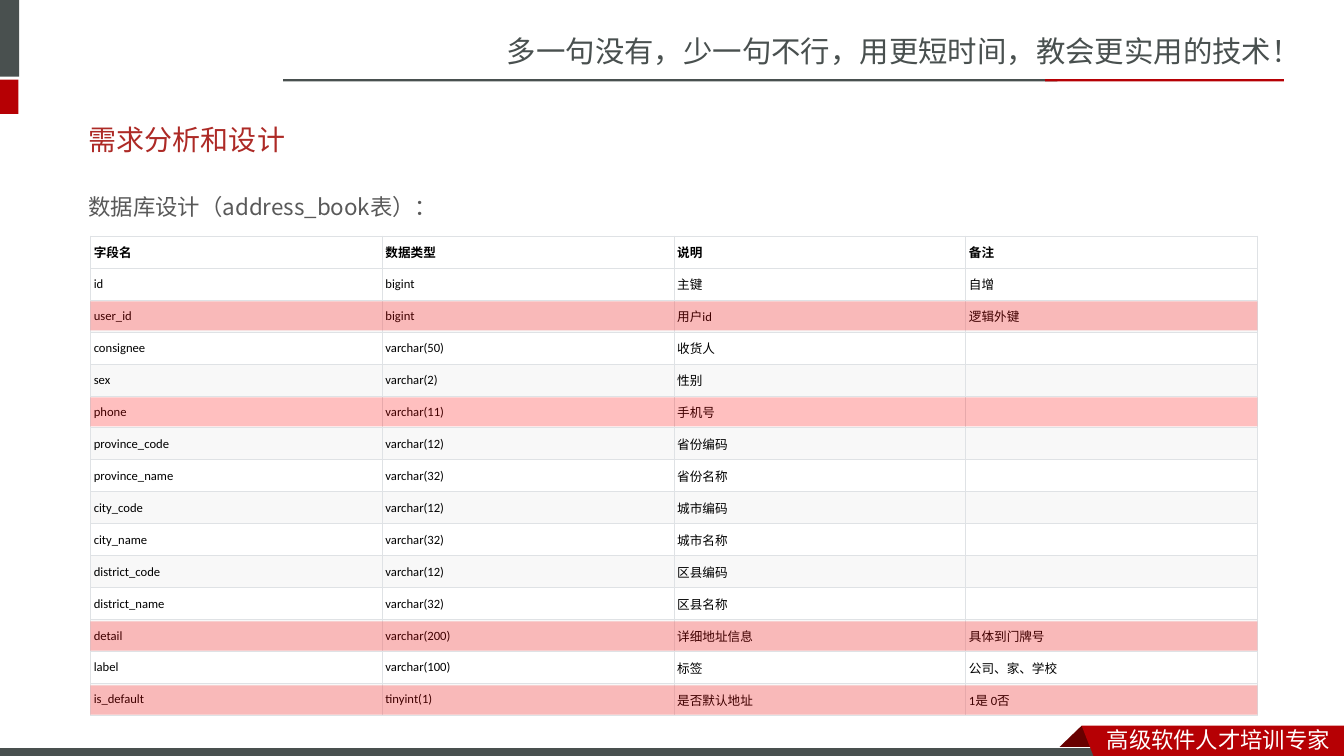
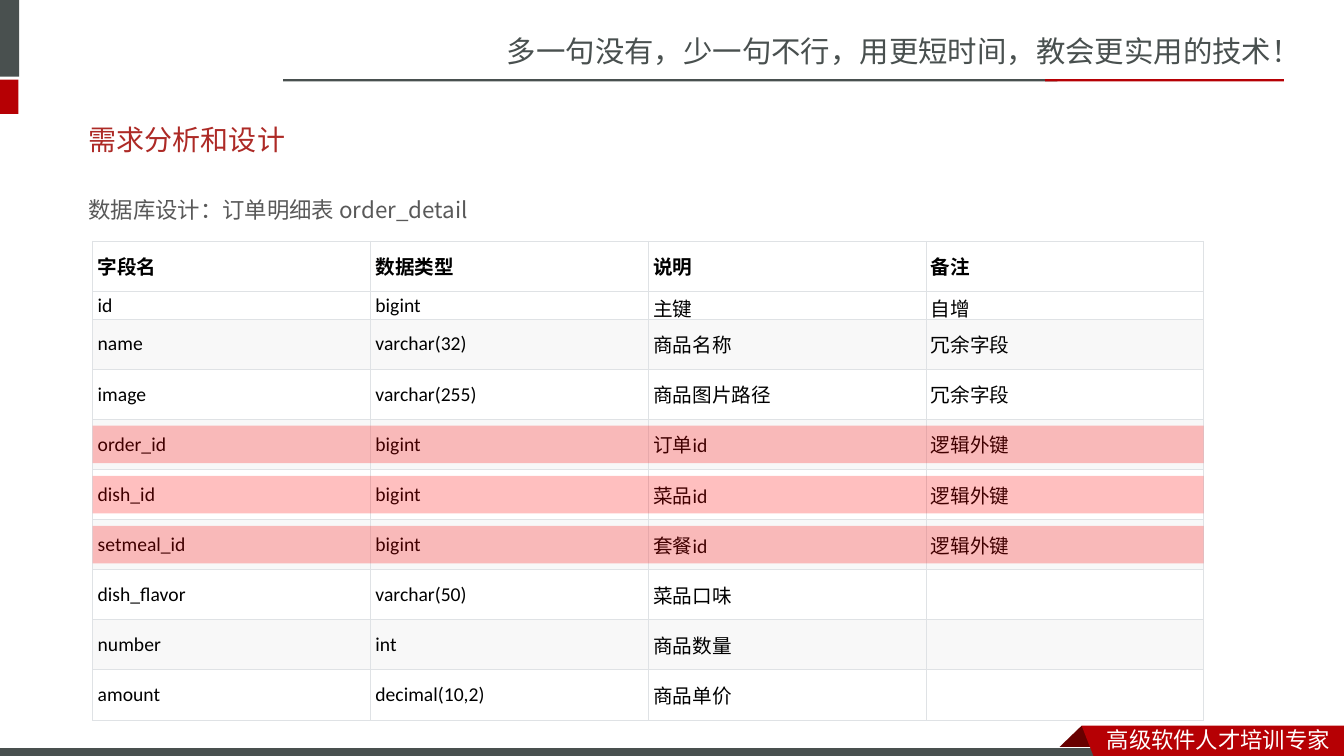
"""Build two database design slides that share one frame."""
from lxml.etree import SubElement
from pptx import Presentation
from pptx.dml.color import RGBColor
from pptx.enum.shapes import MSO_SHAPE
from pptx.enum.text import MSO_ANCHOR, PP_ALIGN
from pptx.oxml.ns import qn
from pptx.util import Pt

DARK, RED, MAROON, WHITE = "49504F", "B60004", "680000", "FFFFFF"
TITLE_RED, GREY, BLACK = "AD2A26", "595959", "000000"
STRIPE, BORDER, MARK = "F8F8F8", "DFE2E5", "FF0000"
CJK = "Noto Sans CJK SC"

TABLES = [
    {
        "heading": "数据库设计（address_book表）：", "heading_top": 115.2,
        "left": 64.6, "top": 168.5, "col_width": 208.4, "size": 9,
        "heights": [22.86] * 15, "insets": (2.4, 0.8),
        "marked": [2, 5, 12, 14], "mark_height": 20.9,
        "rows": [
            ("字段名", "数据类型", "说明", "备注"),
            ("id", "bigint", "主键", "自增"),
            ("user_id", "bigint", "用户id", "逻辑外键"),
            ("consignee", "varchar(50)", "收货人", ""),
            ("sex", "varchar(2)", "性别", ""),
            ("phone", "varchar(11)", "手机号", ""),
            ("province_code", "varchar(12)", "省份编码", ""),
            ("province_name", "varchar(32)", "省份名称", ""),
            ("city_code", "varchar(12)", "城市编码", ""),
            ("city_name", "varchar(32)", "城市名称", ""),
            ("district_code", "varchar(12)", "区县编码", ""),
            ("district_name", "varchar(32)", "区县名称", ""),
            ("detail", "varchar(200)", "详细地址信息", "具体到门牌号"),
            ("label", "varchar(100)", "标签", "公司、家、学校"),
            ("is_default", "tinyint(1)", "是否默认地址", "1是 0否"),
        ],
    },
    {
        "heading": "数据库设计：订单明细表 order_detail", "heading_top": 117.4,
        "left": 66.2, "top": 172.2, "col_width": 198.4, "size": 14,
        "heights": [35.8, 20] + [35.8] * 8, "insets": (3.6, 1.6),
        "marked": [4, 5, 6], "mark_height": 26.8,
        "rows": [
            ("字段名", "数据类型", "说明", "备注"),
            ("id", "bigint", "主键", "自增"),
            ("name", "varchar(32)", "商品名称", "冗余字段"),
            ("image", "varchar(255)", "商品图片路径", "冗余字段"),
            ("order_id", "bigint", "订单id", "逻辑外键"),
            ("dish_id", "bigint", "菜品id", "逻辑外键"),
            ("setmeal_id", "bigint", "套餐id", "逻辑外键"),
            ("dish_flavor", "varchar(50)", "菜品口味", ""),
            ("number", "int", "商品数量", ""),
            ("amount", "decimal(10,2)", "商品单价", ""),
        ],
    },
]


def paint(sp, color, line=None):
    """Fill a shape without shadow and outline it only if a line colour is given."""
    sp.shadow.inherit = False
    sp.fill.solid()
    sp.fill.fore_color.rgb = RGBColor.from_string(color)
    if line:
        sp.line.color.rgb = RGBColor.from_string(line)
        sp.line.width = Pt(0.75)
    else:
        sp.line.fill.background()


def write(tf, text, size, font, color, bold=False):
    """Set one left-aligned paragraph and format its run."""
    tf.word_wrap = True
    tf.text = text
    p = tf.paragraphs[0]
    p.alignment = PP_ALIGN.LEFT
    for r in p.runs:
        r.font.size = Pt(size)
        r.font.name = font
        r.font.bold = bold
        r.font.color.rgb = RGBColor.from_string(color)
        SubElement(r.font._element, qn("a:ea"), typeface=font if "CJK" in font else CJK)
    if not text:
        SubElement(p._p, qn("a:endParaRPr"), sz=str(size * 100))
    return p


prs = Presentation()
prs.slide_width, prs.slide_height = Pt(960), Pt(540)
layout = prs.slide_layouts[5]
for ph in list(layout.placeholders)[1:]:
    ph.element.getparent().remove(ph.element)
slides = [prs.slides.add_slide(layout) for _ in TABLES]

shapes = slides[0].shapes
for x, y, w, h, color, line in [
    (-4.3, 0, 18, 54.7, DARK, None),
    (-4.3, 56.9, 17.5, 24.5, RED, None),
    (202.3, 56.6, 553, 1.6, DARK, None),
    (746.6, 56.6, 170.6, 1.6, RED, None),
    (-0.7, 533.8, 792, 8.6, DARK, WHITE),
]:
    sp = shapes.add_shape(MSO_SHAPE.RECTANGLE, Pt(x), Pt(y), Pt(w), Pt(h))
    paint(sp, color, line)

for color, corners in [
    (MAROON, [(772.6, 518.4), (788, 533.4), (757, 533.4)]),
    (RED, [(772.6, 518.4), (960, 518.4), (960, 542.9), (781.9, 542.2)]),
]:
    points = [(Pt(x), Pt(y)) for x, y in corners]
    outline = shapes.build_freeform(*points[0])
    outline.add_line_segments(points[1:], close=True)
    paint(outline.convert_to_shape(), color)

for x, y, w, h, text, size, color in [
    (355, 20.2, 605, 33.8, "多一句没有，少一句不行，用更短时间，教会更实用的技术！", 21, DARK),
    (783.4, 514.8, 176.4, 26.6, "高级软件人才培训专家", 16, WHITE),
]:
    sp = shapes.add_textbox(Pt(x), Pt(y), Pt(w), Pt(h))
    write(sp.text_frame, text, size, CJK, color)

for sp in list(shapes)[1:]:
    layout.shapes.element.append(sp.element)

for s, spec_table in zip(slides, TABLES):
    title = s.shapes.title
    title.left, title.top, title.width, title.height = Pt(56.2), Pt(79.2), Pt(842.4), Pt(41)
    title.text_frame.vertical_anchor = MSO_ANCHOR.MIDDLE
    write(title.text_frame, "需求分析和设计", 20, "Arial", TITLE_RED)

    heading = s.shapes.add_textbox(Pt(56.2), Pt(spec_table["heading_top"]), Pt(836), Pt(40.3))
    p = write(heading.text_frame, spec_table["heading"], 16, "Noto Sans CJK JP", GREY)
    p.line_spacing = 2.0

    rows, heights = spec_table["rows"], spec_table["heights"]
    left, top = spec_table["left"], spec_table["top"]
    width = 4 * spec_table["col_width"]
    table = s.shapes.add_table(len(rows), 4, Pt(left), Pt(top), Pt(width), Pt(sum(heights))).table
    table.first_row = table.horz_banding = False
    inset_x, inset_y = spec_table["insets"]
    for i, row in enumerate(rows):
        table.rows[i].height = Pt(heights[i])
        for j, text in enumerate(row):
            cell = table.cell(i, j)
            cell.vertical_anchor = MSO_ANCHOR.MIDDLE
            cell.margin_left = cell.margin_right = Pt(inset_x)
            cell.margin_top = cell.margin_bottom = Pt(inset_y)
            write(cell.text_frame, text, spec_table["size"], "Calibri", BLACK, bold=i == 0)
            tcPr = cell._tc.get_or_add_tcPr()
            for side in ("lnL", "lnR", "lnT", "lnB"):
                ln = SubElement(tcPr, qn(f"a:{side}"), w=str(Pt(0.5)))
                SubElement(SubElement(ln, qn("a:solidFill")), qn("a:srgbClr"), val=BORDER)
            cell.fill.solid()
            striped = i > 0 and i % 2 == 0
            cell.fill.fore_color.rgb = RGBColor.from_string(STRIPE if striped else WHITE)

    for i in spec_table["marked"]:
        h = spec_table["mark_height"]
        y = top + sum(heights[:i]) + (heights[i] - h) / 2
        sp = s.shapes.add_shape(MSO_SHAPE.RECTANGLE, Pt(left), Pt(y), Pt(width), Pt(h))
        paint(sp, MARK)
        SubElement(sp.element.spPr.find(".//" + qn("a:srgbClr")), qn("a:alpha"), val="25000")

prs.save("out.pptx")
